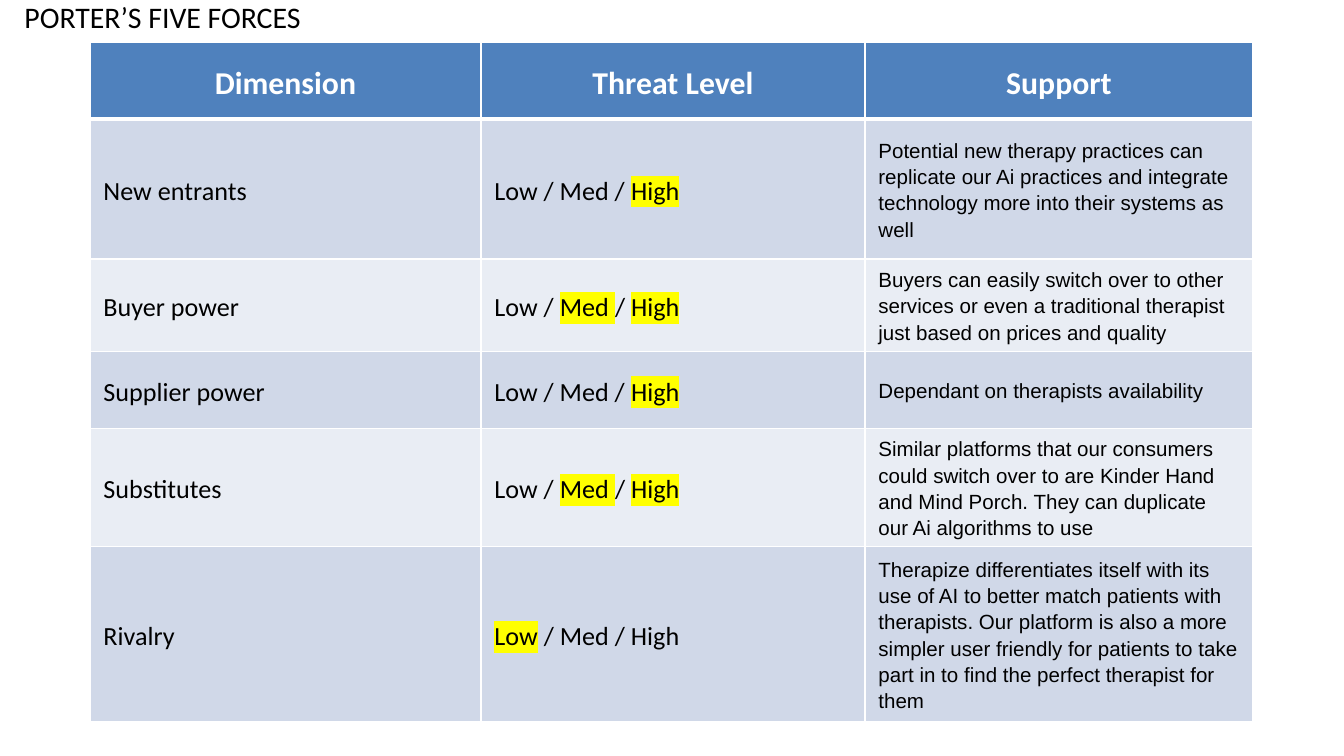
from lxml import etree
from pptx import Presentation
from pptx import util as u
from pptx.dml.color import RGBColor
from pptx.enum import text
from pptx.oxml.ns import qn

BLACK = RGBColor(0x00, 0x00, 0x00)
WHITE = RGBColor(0xFF, 0xFF, 0xFF)
BLUE = RGBColor(0x4F, 0x81, 0xBD)
BAND_DARK = RGBColor(0xD0, 0xD8, 0xE8)
BAND_LIGHT = RGBColor(0xE9, 0xED, 0xF4)
YELLOW = RGBColor(0xFF, 0xFF, 0x00)

SCALE = 914400 / 134.4
COLUMN_WIDTHS = (391, 384, 388)
ROW_HEIGHTS = (77, 140, 77, 77, 77, 175)
HEADERS = ("Dimension", "Threat Level", "Support")
FORCES = (
    ("New entrants", "Low / Med / *High*",
     "Potential new therapy practices can replicate our Ai practices and integrate "
     "technology more into their systems as well"),
    ("Buyer power", "Low / *Med */ *High*",
     "Buyers can easily switch over to other services or even a traditional therapist "
     "just based on prices and quality"),
    ("Supplier power", "Low / Med / *High*", "Dependant on therapists availability"),
    ("Substitutes", "Low / *Med */ *High*",
     "Similar platforms that our consumers could switch over to are Kinder Hand and "
     "Mind Porch. They can duplicate our Ai algorithms to use"),
    ("Rivalry", "*Low* / Med / High",
     "Therapize differentiates itself with its use of AI to better match patients with "
     "therapists. Our platform is also a more simpler user friendly for patients to take "
     "part in to find the perfect therapist for them"),
)


def px(value):
    return u.Emu(round(value * SCALE))


class Deck:
    """Builds slides in one style, with lengths in px and *marked* text highlighted."""

    def __init__(self, width, height):
        self.presentation = Presentation()
        self.presentation.slide_width = px(width)
        self.presentation.slide_height = px(height)
        self.slide = None

    def add_slide(self):
        self.slide = self.presentation.slides.add_slide(self.presentation.slide_layouts[5])

    def format_run(self, run, size, font="Calibri", color=BLACK, bold=False):
        run.font.size = u.Pt(size)
        run.font.name = font
        run.font.bold = bold
        run.font.color.rgb = color

    def highlight(self, run):
        mark = etree.Element(qn("a:highlight"))
        etree.SubElement(mark, qn("a:srgbClr"), val=str(YELLOW))
        run.font._element.find(qn("a:solidFill")).addnext(mark)

    def title(self, wording, left, top, width, height):
        shape = self.slide.shapes.title
        shape.left, shape.top, shape.width, shape.height = map(px, (left, top, width, height))
        frame = shape.text_frame
        frame.text = wording
        frame.word_wrap = True
        frame.auto_size = text.MSO_AUTO_SIZE.NONE
        frame.vertical_anchor = text.MSO_ANCHOR.TOP
        frame.margin_left = frame.margin_right = u.Inches(0.1)
        frame.margin_top = frame.margin_bottom = u.Inches(0.1)
        paragraph = frame.paragraphs[0]
        paragraph.alignment = text.PP_ALIGN.LEFT
        self.format_run(paragraph.runs[0], 16)

    def table(self, left, top, column_widths, row_heights):
        frame = self.slide.shapes.add_table(
            len(row_heights), len(column_widths), px(left), px(top),
            px(sum(column_widths)), px(sum(row_heights)))
        table = frame.table
        table.horz_banding = False
        for column, width in zip(table.columns, column_widths):
            column.width = px(width)
        for row, height in zip(table.rows, row_heights):
            row.height = px(height)
        return table

    def borders(self, cell, top, bottom):
        properties = cell._tc.get_or_add_tcPr()
        widths = {"a:lnL": 0.75, "a:lnR": 0.75, "a:lnT": top, "a:lnB": bottom}
        for index, (tag, width) in enumerate(widths.items()):
            line = etree.Element(qn(tag), w=str(u.Pt(width)))
            fill = etree.SubElement(line, qn("a:solidFill"))
            etree.SubElement(fill, qn("a:srgbClr"), val=str(WHITE))
            properties.insert(index, line)

    def cell(self, cell, wording, fill, alignment=text.PP_ALIGN.LEFT, top=0.75, bottom=0.75,
             **style):
        cell.fill.solid()
        cell.fill.fore_color.rgb = fill
        cell.vertical_anchor = text.MSO_ANCHOR.MIDDLE
        cell.margin_left = cell.margin_right = u.Inches(0.1)
        cell.margin_top = cell.margin_bottom = u.Inches(0.05)
        self.borders(cell, top, bottom)
        paragraph = cell.text_frame.paragraphs[0]
        paragraph.alignment = alignment
        paragraph.line_spacing = 1.15
        for index, piece in enumerate(wording.split("*")):
            if piece:
                run = paragraph.add_run()
                run.text = piece
                self.format_run(run, **style)
                if index % 2:
                    self.highlight(run)

    def save(self):
        self.presentation.save("out.pptx")


def main():
    deck = Deck(1344, 756)
    deck.add_slide()
    deck.title("PORTER’S FIVE FORCES", 11, -15, 441, 63)
    table = deck.table(90, 42, COLUMN_WIDTHS, ROW_HEIGHTS)
    for column, header in enumerate(HEADERS):
        deck.cell(table.cell(0, column), header, BLUE, text.PP_ALIGN.CENTER, bottom=3,
                  size=17, color=WHITE, bold=True)
    for row, force in enumerate(FORCES, start=1):
        fill = BAND_DARK if row % 2 else BAND_LIGHT
        top = 3 if row == 1 else 0.75
        for column, wording in enumerate(force):
            style = {"size": 11, "font": "Arial"} if column == 2 else {"size": 14}
            deck.cell(table.cell(row, column), wording, fill, top=top, **style)
    deck.save()


if __name__ == "__main__":
    main()
